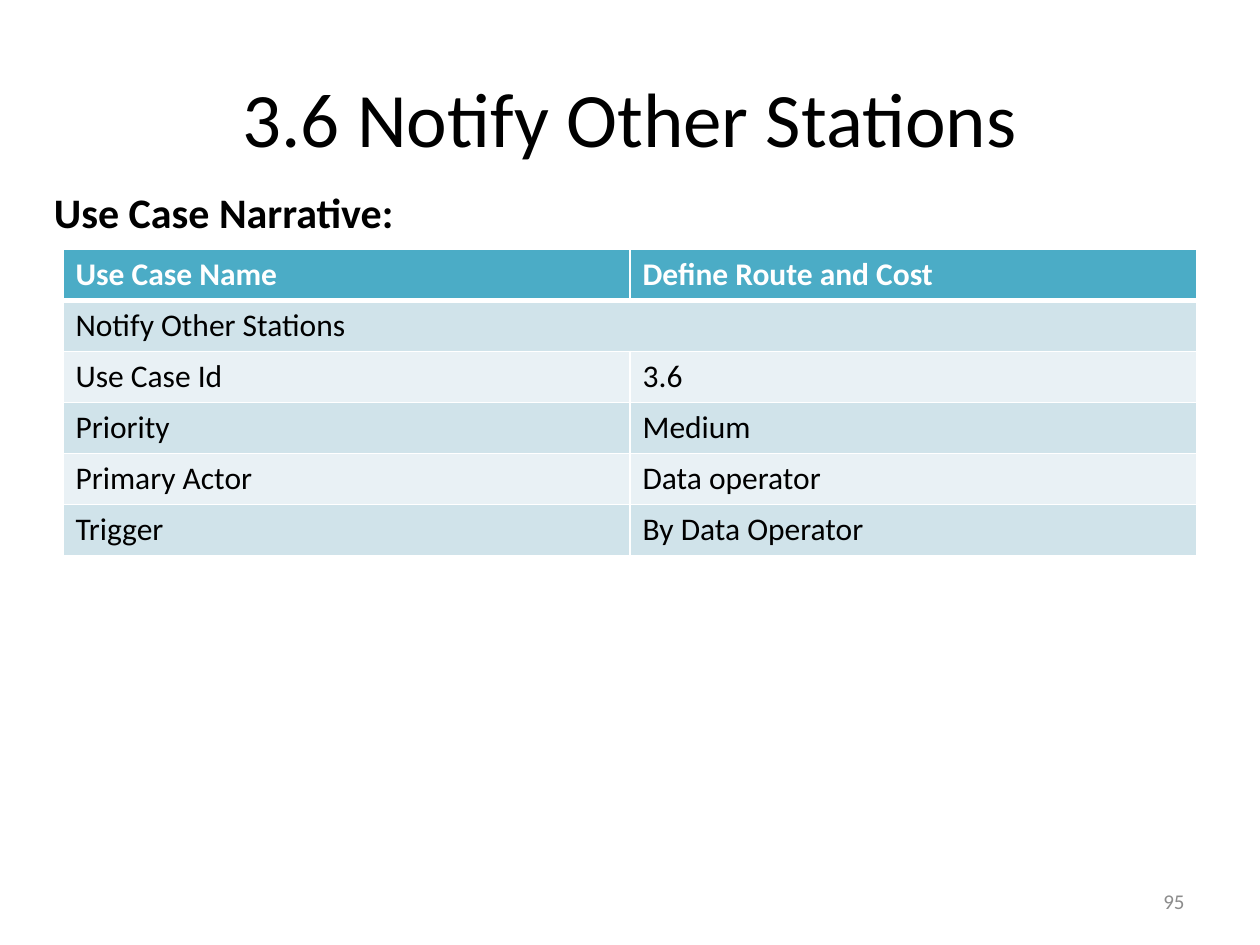
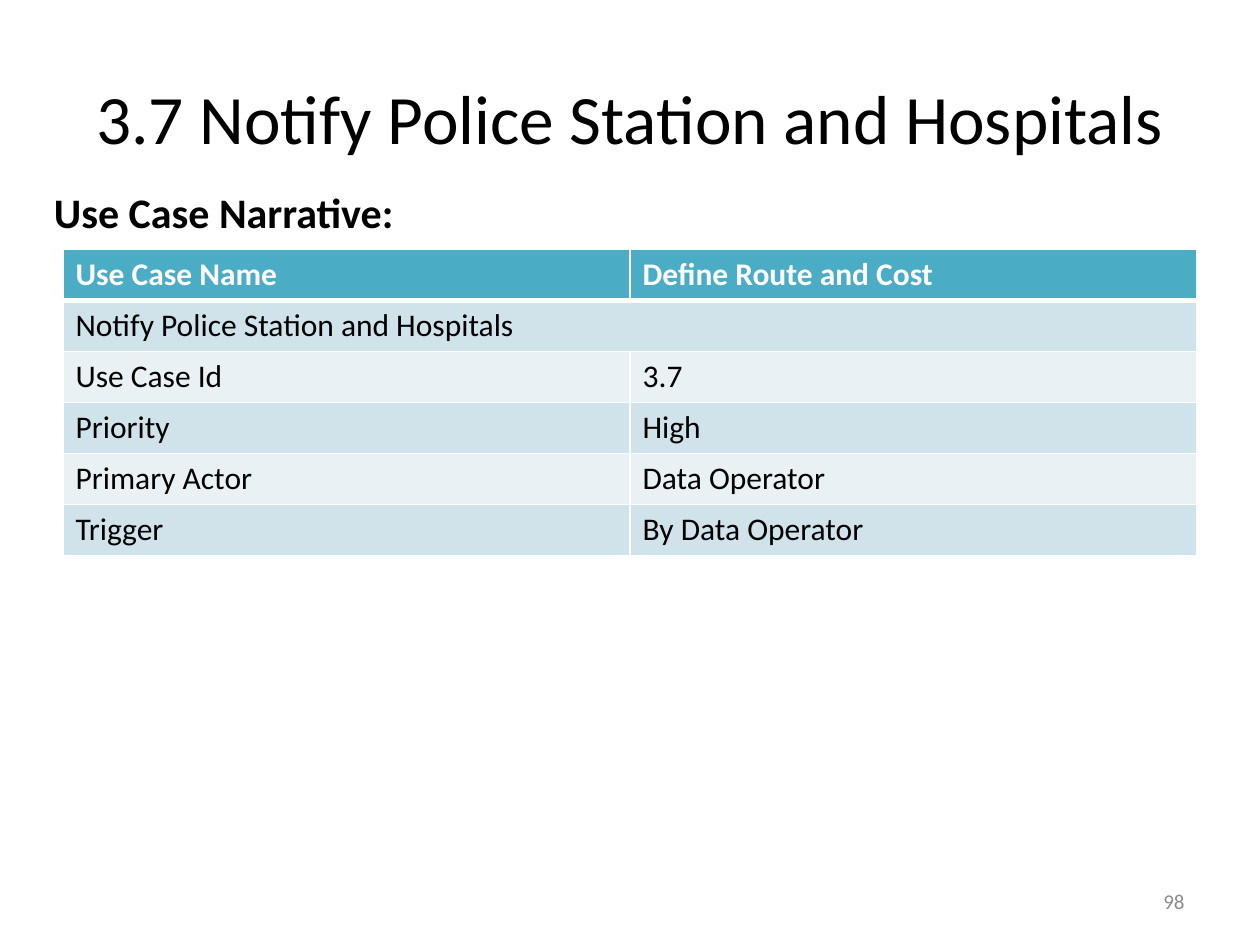
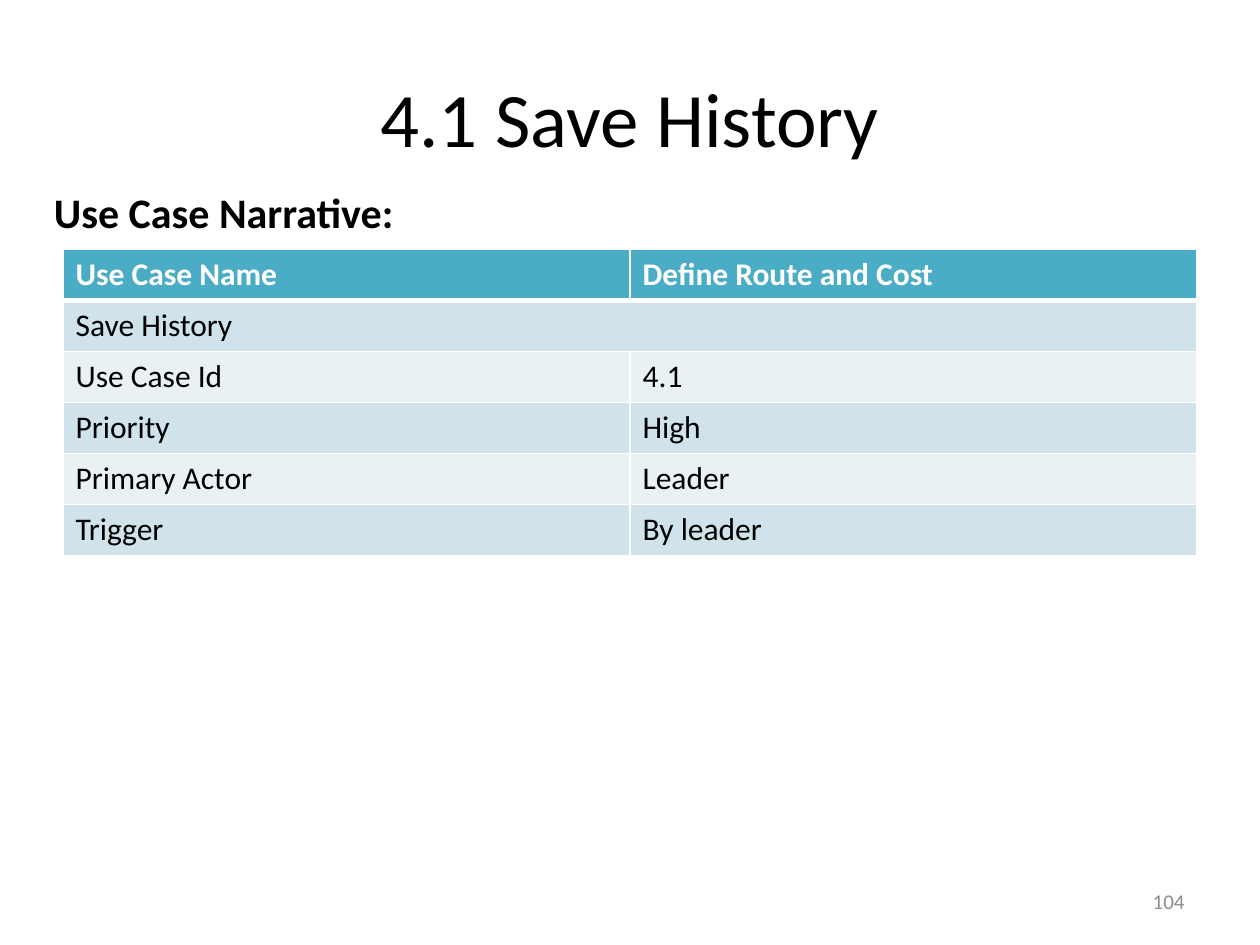
"""Build three use case narrative slides, each with a title, a table and a page number."""
from lxml import etree
from pptx import Presentation
from pptx import util as u
from pptx.dml.color import RGBColor
from pptx.enum import text
from pptx.oxml.ns import qn

FONT = "Calibri"
COLORS = {"text": "000000", "white": "FFFFFF", "header": "4BACC6",
          "odd": "D0E3EA", "even": "E9F1F5", "number": "8C8C8C"}
USE_CASES = [
    ("3.6", "Notify Other Stations", 44, "Medium", "Data operator", "By Data Operator", 95),
    ("3.7", "Notify Police Station and Hospitals", 39.6, "High", "Data Operator", "By Data Operator", 98),
    ("4.1", "Save History", 44, "High", "Leader", "By leader", 104),
]


def write(tf, content, size, color="text", bold=False, align=text.PP_ALIGN.LEFT):
    tf.text = content
    p = tf.paragraphs[0]
    p.alignment = align
    for r in p.runs:
        r.font.name = FONT
        r.font.size = u.Pt(size)
        r.font.bold = bold
        r.font.color.rgb = RGBColor.from_string(COLORS[color])


def add_text(s, box, content, size, anchor=text.MSO_ANCHOR.MIDDLE, **style):
    sp = s.shapes.add_textbox(*[u.Inches(v) for v in box])
    tf = sp.text_frame
    tf.word_wrap = True
    tf.vertical_anchor = anchor
    write(tf, content, size, **style)


prs = Presentation()
prs.slide_width, prs.slide_height = u.Inches(10), u.Inches(7.5)

for case_id, name, title_size, priority, actor, trigger, number in USE_CASES:
    s = prs.slides.add_slide(prs.slide_layouts[6])
    add_text(s, (0.5, 0.3, 9, 1.25), f"{case_id} {name}", title_size, align=text.PP_ALIGN.CENTER)

    rows = [("Use Case Name", "Define Route and Cost"), (name, ""), ("Use Case Id", case_id),
            ("Priority", priority), ("Primary Actor", actor), ("Trigger", trigger)]
    table = s.shapes.add_table(len(rows), 2, u.Inches(0.5), u.Inches(1.98),
                               u.Inches(9), u.Inches(2.43)).table
    table.cell(1, 0).merge(table.cell(1, 1))
    for i, row in enumerate(rows):
        fill = "header" if i == 0 else "odd" if i % 2 else "even"
        for j, value in enumerate(row):
            cell = table.cell(i, j)
            tcPr = cell._tc.get_or_add_tcPr()
            for side in "LRTB":
                width = 3 if (i, side) in ((0, "B"), (1, "T")) else 1
                ln = etree.SubElement(tcPr, qn(f"a:ln{side}"), w=str(u.Pt(width)))
                line_fill = etree.SubElement(ln, qn("a:solidFill"))
                etree.SubElement(line_fill, qn("a:srgbClr"), val=COLORS["white"])
            cell.fill.solid()
            cell.fill.fore_color.rgb = RGBColor.from_string(COLORS[fill])
            if not cell.is_spanned:
                write(cell.text_frame, value, 18, "white" if i == 0 else "text", i == 0)

    add_text(s, (7.17, 6.95, 2.33, 0.4), str(number), 12, color="number", align=text.PP_ALIGN.RIGHT)
    add_text(s, (0.33, 1.43, 5.25, 0.5), "Use Case Narrative:", 24,
             anchor=text.MSO_ANCHOR.TOP, bold=True)

prs.save("out.pptx")
